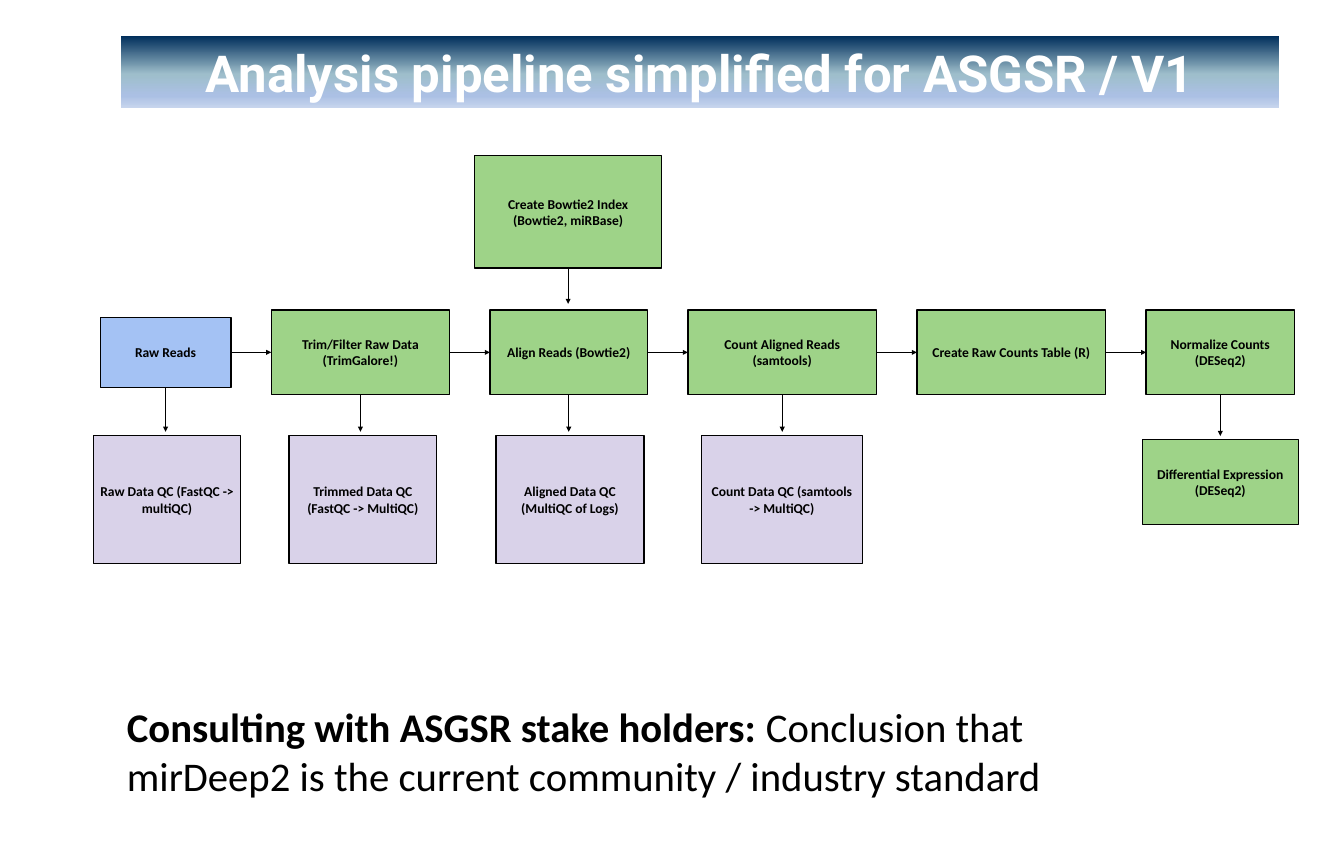
from lxml import etree
from pptx import Presentation
from pptx import util as u
from pptx.dml import color
from pptx.enum import shapes, text
from pptx.oxml import ns

COLOURS = {
    "input": "A4C2F4",
    "process": "9ED388",
    "quality": "D9D2E9",
    "ink": "000000",
    "title": "FFFFFF",
}
TITLE_GRADIENT = [(0, "002E5B"), (53, "9EBECB"), (83, "ABC0E4"), (100, "C7D5ED")]

# Main row: label, fill, width, height
STEPS = [
    ("Raw Reads", "input", 2.14, 1.15),
    ("Trim/Filter Raw Data (TrimGalore!)", "process", 2.92, 1.39),
    ("Align Reads (Bowtie2)", "process", 2.58, 1.39),
    ("Count Aligned Reads (samtools)", "process", 3.09, 1.39),
    ("Create Raw Counts Table (R)", "process", 3.09, 1.39),
    ("Normalize Counts (DESeq2)", "process", 2.43, 1.39),
]
STEP_GAP = 0.66

# Row below: step above, label, fill, left, top, width, height
FOLLOW_UPS = [
    (0, "Raw Data QC (FastQC -> multiQC)", "quality", 0, 4.58, 2.41, 2.1),
    (1, "Trimmed Data QC (FastQC -> MultiQC)", "quality", 3.2, 4.58, 2.42, 2.1),
    (2, "Aligned Data QC (MultiQC of Logs)", "quality", 6.59, 4.58, 2.42, 2.1),
    (3, "Count Data QC (samtools -> MultiQC)", "quality", 9.95, 4.58, 2.64, 2.1),
    (5, "Differential Expression (DESeq2)", "process", 17.17, 4.65, 2.55, 1.39),
]


def rgb(name):
    return color.RGBColor.from_string(COLOURS[name])


def add_span(para, words, font, size, ink, bold=True):
    span = para.add_run()
    span.text = words
    span.font.name = font
    span.font.size = u.Pt(size)
    span.font.bold = bold
    span.font.color.rgb = rgb(ink)


def add_rectangle(page, left, top, width, height):
    box = page.shapes.add_shape(
        shapes.MSO_SHAPE.RECTANGLE,
        u.Inches(left), u.Inches(top), u.Inches(width), u.Inches(height))
    box.shadow.inherit = False
    frame = box.text_frame
    frame.word_wrap = True
    frame.vertical_anchor = text.MSO_ANCHOR.MIDDLE
    frame.paragraphs[0].alignment = text.PP_ALIGN.CENTER
    return box


def add_stage(page, label, fill, left, top, width, height):
    box = add_rectangle(page, left, top, width, height)
    box.fill.solid()
    box.fill.fore_color.rgb = rgb(fill)
    box.line.color.rgb = rgb("ink")
    box.line.width = u.Pt(1.5)
    frame = box.text_frame
    frame.margin_left = frame.margin_right = u.Inches(0.1)
    frame.margin_top = frame.margin_bottom = u.Inches(0.1)
    add_span(frame.paragraphs[0], label, "Calibri", 16, "ink")
    return box


def add_arrow(page, start, side, end_x, end_y):
    arrow = page.shapes.add_connector(
        shapes.MSO_CONNECTOR.STRAIGHT, start.left, start.top, end_x, end_y)
    arrow.begin_connect(start, side)
    arrow.line.color.rgb = rgb("ink")
    arrow.line.width = u.Pt(0.75)
    line = arrow.line._get_or_add_ln()
    etree.SubElement(line, ns.qn("a:tailEnd"), type="triangle")
    etree.SubElement(arrow._element.spPr, ns.qn("a:effectLst"))
    return arrow


def add_down_arrow(page, start, end_top, gap):
    centre = start.left + start.width // 2
    add_arrow(page, start, 2, centre, end_top - u.Inches(gap))


def add_title(page, left, top, width, height):
    banner = add_rectangle(page, left, top, width, height)
    banner.line.fill.background()
    banner.fill.gradient()
    banner.fill.gradient_angle = 270
    stops = banner._element.spPr.find(".//" + ns.qn("a:gsLst"))
    for stop in list(stops):
        stops.remove(stop)
    for percent, shade in TITLE_GRADIENT:
        stop = etree.SubElement(stops, ns.qn("a:gs"), pos=str(percent * 1000))
        etree.SubElement(stop, ns.qn("a:srgbClr"), val=shade)
    add_span(banner.text_frame.paragraphs[0],
             "Analysis pipeline simplified for ASGSR / V1", "Roboto", 60, "title")


def add_pipeline(page, left, top):
    # Main row, centred on one line
    row_middle = top + 3.22
    step_left = left + 0.11
    steps = []
    for label, fill, width, height in STEPS:
        steps.append(add_stage(page, label, fill, step_left,
                               row_middle - height / 2, width, height))
        step_left += width + STEP_GAP
    for start, end in zip(steps, steps[1:]):
        arrow = add_arrow(page, start, 3, end.left, end.top)
        arrow.end_connect(end, 1)

    # Index above the alignment step
    index = add_stage(page, "Create Bowtie2 Index (Bowtie2, miRBase)", "process",
                      left + 6.24, top, 3.06, 1.84)
    add_down_arrow(page, index, steps[2].top, 0.1)

    # Quality checks and final analysis below
    for step, label, fill, x, y, width, height in FOLLOW_UPS:
        box = add_stage(page, label, fill, left + x, top + y, width, height)
        add_down_arrow(page, steps[step], box.top, 0.06)


def add_conclusion(page, left, top, width, height):
    box = page.shapes.add_textbox(
        u.Inches(left), u.Inches(top), u.Inches(width), u.Inches(height))
    frame = box.text_frame
    frame.word_wrap = True
    frame.auto_size = text.MSO_AUTO_SIZE.SHAPE_TO_FIT_TEXT
    para = frame.paragraphs[0]
    add_span(para, "Consulting with ASGSR stake holders: ", "Calibri", 48, "ink")
    add_span(para, "Conclusion that mirDeep2 is the current community / industry standard",
             "Calibri", 48, "ink", bold=False)


def main():
    deck = Presentation()
    deck.slide_width, deck.slide_height = u.Inches(22), u.Inches(14)
    page = deck.slides.add_slide(deck.slide_layouts[6])
    add_pipeline(page, 1.53, 2.55)
    add_title(page, 1.98, 0.59, 18.96, 1.18)
    add_conclusion(page, 1.98, 11.44, 15.37, 1.72)
    deck.save("out.pptx")


if __name__ == "__main__":
    main()
